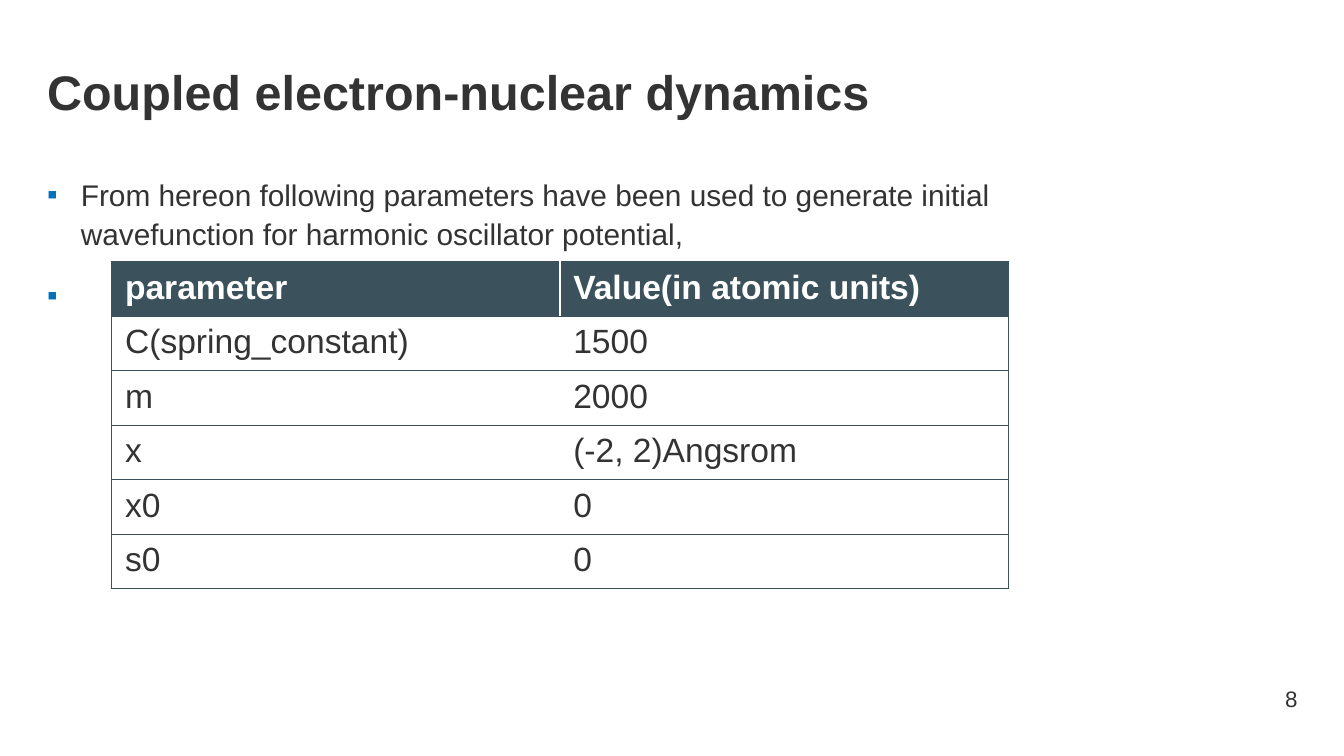
from lxml.etree import SubElement
from pptx import Presentation
from pptx.dml.color import RGBColor
from pptx.enum.text import MSO_ANCHOR as Anchor, PP_ALIGN as Align
from pptx.oxml.ns import qn
from pptx.util import Cm, Pt

COLORS = {"text": "333333", "bullet": "0271BB", "header": "3B515B", "white": "FFFFFF"}


def write_text(frame, *texts, size=16, color="text", bold=False, align=Align.LEFT,
               spacing=None, before=None, bullet=None):
    """Fill a text frame with one formatted paragraph per text."""
    frame.word_wrap = True
    for index, text in enumerate(texts):
        paragraph = frame.add_paragraph() if index else frame.paragraphs[0]
        paragraph.alignment = align
        paragraph.line_spacing = spacing
        paragraph.space_before = before
        run = paragraph.add_run()
        run.text = text
        run.font.name = "Arial"
        run.font.size = Pt(size)
        run.font.bold = bold
        run.font.color.rgb = RGBColor.from_string(COLORS[color])
        if bullet:
            properties = paragraph._p.get_or_add_pPr()
            properties.set("marL", str(Cm(0.64)))
            properties.set("indent", str(-Cm(0.64)))
            bullet_color = SubElement(properties, qn("a:buClr"))
            SubElement(bullet_color, qn("a:srgbClr"), val=COLORS["bullet"])
            SubElement(properties, qn("a:buFont"), typeface="Arial")
            SubElement(properties, qn("a:buChar"), char=bullet)


def add_border(cell, side):
    """Draw a thin line on one side of a cell: L, R, T or B."""
    line = SubElement(cell._tc.get_or_add_tcPr(), qn(f"a:ln{side}"), w=str(Pt(0.5)))
    fill = SubElement(line, qn("a:solidFill"))
    SubElement(fill, qn("a:srgbClr"), val=COLORS["header"])


presentation = Presentation()
presentation.slide_width, presentation.slide_height = Cm(25.4), Cm(14.29)
slide = presentation.slides.add_slide(presentation.slide_layouts[6])

# Title
title = slide.shapes.add_textbox(Cm(0.89), Cm(0.94), Cm(23.6), Cm(1.6))
title.text_frame.margin_left = 0
write_text(title.text_frame, "Coupled electron-nuclear dynamics",
           size=26, bold=True, spacing=1.1)

# Slide number
number = slide.shapes.add_textbox(Cm(22.56), Cm(12.83), Cm(1.96), Cm(0.76))
number.text_frame.margin_right = 0
number.text_frame.vertical_anchor = Anchor.MIDDLE
write_text(number.text_frame, "8", size=12, align=Align.RIGHT)

# Bullet list; the second bullet has no wording, a space keeps its mark visible
body = slide.shapes.add_textbox(Cm(0.89), Cm(3.15), Cm(21), Cm(8.2))
body.text_frame.margin_left = 0
write_text(body.text_frame,
           "From hereon following parameters have been used to generate initial "
           "wavefunction for harmonic oscillator potential,",
           " ", spacing=1.1, before=Pt(12), bullet="▪")

# Parameter table
parameters = [
    ("parameter", "Value(in atomic units)"),
    ("C(spring_constant)", "1500"),
    ("m", "2000"),
    ("x", "(-2, 2)Angsrom"),
    ("x0", "0"),
    ("s0", "0"),
]
table = slide.shapes.add_table(len(parameters), 2, Cm(2.11), Cm(4.95),
                               Cm(16.94), Cm(6.18)).table
for row, values in enumerate(parameters):
    is_header = row == 0
    for column, value in enumerate(values):
        cell = table.cell(row, column)
        write_text(cell.text_frame, value, size=18, bold=is_header,
                   color="white" if is_header else "text")
        for side in ("LTB", "RTB")[column]:
            add_border(cell, side)
        cell.fill.solid()
        cell.fill.fore_color.rgb = RGBColor.from_string(
            COLORS["header" if is_header else "white"])

presentation.save("out.pptx")
